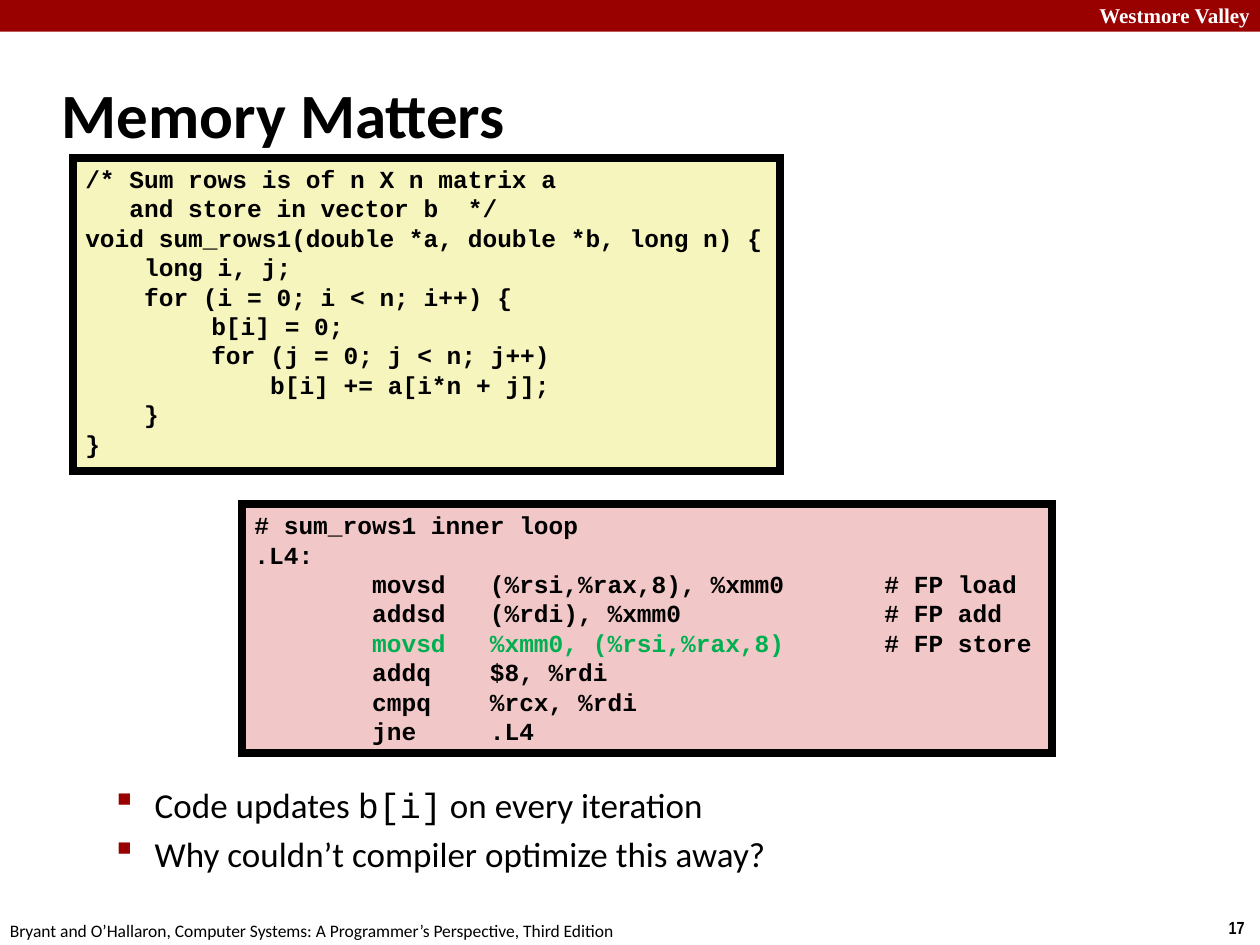
import pptx
import pptx.dml.color
import pptx.enum.shapes
import pptx.enum.text
import pptx.oxml
import pptx.oxml.ns
import pptx.util
from pptx.util import Cm, Pt

ALIGN = pptx.enum.text.PP_ALIGN
ANCHOR = pptx.enum.text.MSO_ANCHOR
BLACK, WHITE, RED, GREEN = "000000", "FFFFFF", "990000", "00B050"
MONO = "Courier New"
NAMESPACE = pptx.oxml.ns.nsdecls("a")

C_CODE = """/* Sum rows is of n X n matrix a
   and store in vector b  */
void sum_rows1(double *a, double *b, long n) {
    long i, j;
    for (i = 0; i < n; i++) {
\tb[i] = 0;
\tfor (j = 0; j < n; j++)
\t    b[i] += a[i*n + j];
    }
}"""

ASSEMBLY_CODE = """# sum_rows1 inner loop
.L4:
        movsd   (%rsi,%rax,8), %xmm0\t# FP load
        addsd   (%rdi), %xmm0\t# FP add
        movsd   %xmm0, (%rsi,%rax,8)\t# FP store
        addq    $8, %rdi
        cmpq    %rcx, %rdi
        jne     .L4"""
STORE_INSTRUCTION = "        movsd   %xmm0, (%rsi,%rax,8)"


def color(value):
    return pptx.dml.color.RGBColor.from_string(value)


def box(left, top, width, height):
    return Cm(left), Cm(top), Cm(width), Cm(height)


def format_run(run, size, font, fill=BLACK, bold=False):
    run.font.size = Pt(size)
    run.font.name = font
    run.font.bold = bold
    run.font.color.rgb = color(fill)


def add_run(paragraph, text, *style):
    run = paragraph.add_run()
    run.text = text
    format_run(run, *style)


def append_element(parent, tag, attributes, content=""):
    parent.append(pptx.oxml.parse_xml(f"<a:{tag} {NAMESPACE} {attributes}>{content}</a:{tag}>"))


def add_rectangle(slide, place, fill, line_width=0):
    shape = slide.shapes.add_shape(pptx.enum.shapes.MSO_SHAPE.RECTANGLE, *place)
    shape.shadow.inherit = False
    shape.fill.solid()
    shape.fill.fore_color.rgb = color(fill)
    if line_width:
        shape.line.color.rgb = color(BLACK)
        shape.line.width = Pt(line_width)
        append_element(shape.line._get_or_add_ln(), "miter", 'lim="800000"')
    else:
        shape.line.fill.background()
    return shape


def add_label(slide, place, text, style, alignment=ALIGN.LEFT):
    shape = slide.shapes.add_textbox(*place)
    shape.text_frame.word_wrap = False
    shape.text_frame.text = text
    paragraph = shape.text_frame.paragraphs[0]
    paragraph.alignment = alignment
    format_run(paragraph.runs[0], *style)


def add_code(slide, place, fill, code, tab_stop, highlight=None):
    text_frame = add_rectangle(slide, place, fill, 4.5).text_frame
    text_frame.word_wrap = False
    text_frame.vertical_anchor = ANCHOR.TOP
    for index, line in enumerate(code.split("\n")):
        paragraph = text_frame.add_paragraph() if index else text_frame.paragraphs[0]
        paragraph.alignment = ALIGN.LEFT
        append_element(paragraph._p.get_or_add_pPr(), "tabLst", "",
                       f'<a:tab pos="{Cm(tab_stop)}" algn="l"/>')
        if highlight and line.startswith(highlight):
            add_run(paragraph, highlight, 14, MONO, GREEN, True)
            line = line[len(highlight):]
        add_run(paragraph, line, 14, MONO, BLACK, True)


def add_bullets(slide, place, items):
    text_frame = slide.shapes.add_textbox(*place).text_frame
    text_frame.word_wrap = True
    for index, parts in enumerate(items):
        paragraph = text_frame.add_paragraph() if index else text_frame.paragraphs[0]
        paragraph.space_before = Pt(4)
        properties = paragraph._p.get_or_add_pPr()
        properties.set("marL", str(Cm(2.06)))
        properties.set("indent", str(Cm(-0.79)))
        append_element(properties, "buClr", "", f'<a:srgbClr val="{RED}"/>')
        append_element(properties, "buSzPct", 'val="110000"')
        append_element(properties, "buFont", 'typeface="Wingdings" charset="2"')
        append_element(properties, "buChar", 'char="§"')
        for text, font in parts:
            add_run(paragraph, text, 20, font)


def set_title(slide, place, text):
    title = slide.shapes.title
    title.left, title.top, title.width, title.height = place
    text_frame = title.text_frame
    text_frame.text = text
    text_frame.auto_size = pptx.enum.text.MSO_AUTO_SIZE.NONE
    text_frame.vertical_anchor = ANCHOR.MIDDLE
    text_frame.paragraphs[0].alignment = ALIGN.LEFT
    format_run(text_frame.paragraphs[0].runs[0], 36, "Calibri", BLACK, True)


def main():
    presentation = pptx.Presentation()
    presentation.slide_width, presentation.slide_height = Cm(25.4), Cm(19.05)
    slide = presentation.slides.add_slide(presentation.slide_layouts[5])

    add_rectangle(slide, box(0, 0, 25.4, 0.64), RED)
    add_label(slide, box(19.95, -0.08, 5.5, 0.76), "Westmore Valley",
              (12, "Times New Roman", WHITE, True), ALIGN.RIGHT)
    add_label(slide, box(24.5, 18.36, 0.86, 0.69), "17",
              (10, "Arial Narrow", BLACK, True), ALIGN.CENTER)
    add_label(slide, box(-0.05, 18.42, 12.9, 0.69),
              "Bryant and O’Hallaron, Computer Systems: A Programmer’s Perspective, Third Edition",
              (10, "Calibri"))

    set_title(slide, box(0.99, 1.22, 21.08, 2.11), "Memory Matters")
    add_bullets(slide, box(0.81, 15.67, 23.09, 2.24), [
        [("Code updates ", "Calibri"), ("b[i]", MONO), (" on every iteration", "Calibri")],
        [("Why couldn’t compiler optimize this away?", "Calibri")],
    ])
    add_code(slide, box(4.88, 10.16, 16.33, 5.03), "F1C7C7", ASSEMBLY_CODE, 12.7, STORE_INSTRUCTION)
    add_code(slide, box(1.47, 3.18, 14.25, 6.32), "F6F5BD", C_CODE, 2.54)

    presentation.save("out.pptx")


main()
